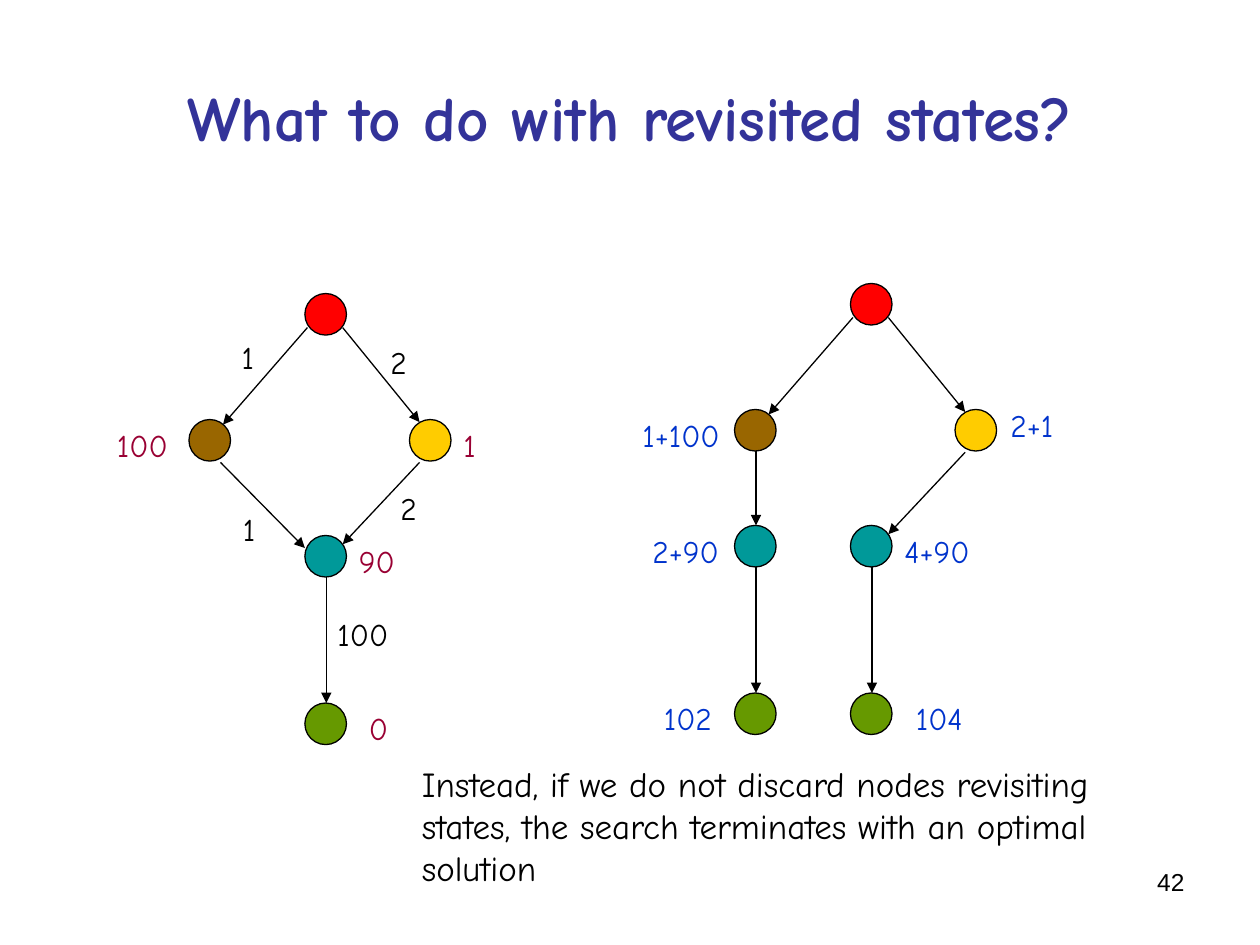
from lxml.etree import SubElement
from pptx import Presentation
from pptx.dml.color import RGBColor
from pptx.enum.shapes import MSO_CONNECTOR as Connector, MSO_SHAPE as Shape
from pptx.enum.text import MSO_ANCHOR as Anchor, MSO_AUTO_SIZE as AutoSize, PP_ALIGN as Align
from pptx.oxml.ns import qn
from pptx.util import Inches, Pt

BLACK = RGBColor(0x00, 0x00, 0x00)
RED = RGBColor(0xFF, 0x00, 0x00)
BROWN = RGBColor(0x99, 0x66, 0x00)
YELLOW = RGBColor(0xFF, 0xCC, 0x00)
TEAL = RGBColor(0x00, 0x99, 0x99)
GREEN = RGBColor(0x66, 0x99, 0x00)
CRIMSON = RGBColor(0x99, 0x00, 0x33)
BLUE = RGBColor(0x00, 0x33, 0xCC)
INDIGO = RGBColor(0x33, 0x33, 0x99)

NODE_SIZE = 0.33
LINE_WIDTH = Pt(0.75)

EDGE_COSTS = [("1", 1.82, 2.63, 0.31), ("100", 2.58, 4.83, 0.62), ("2", 3.08, 3.83, 0.35),
              ("1", 1.83, 4, 0.31), ("2", 3, 2.67, 0.35)]
HEURISTICS = [("100", 0.83, 3.33, 0.62), ("0", 2.83, 5.58, 0.35),
              ("90", 2.75, 4.25, 0.51), ("1", 3.58, 3.33, 0.31)]
TOTAL_COSTS = [("104", 7.17, 5.5, 0.62), ("4+90", 7.08, 4.17, 0.78), ("1+100", 5, 3.25, 0.85),
               ("2+1", 7.92, 3.17, 0.59), ("2+90", 5.08, 4.17, 0.78), ("102", 5.17, 5.5, 0.62)]


def add_text(page, text, left, top, width, height=0.4, *, size=18, color=BLACK,
             font="Comic Neue", bold=False, align=Align.LEFT, anchor=Anchor.TOP, fixed=False):
    """Add a text box, one line per newline; a fixed box wraps and keeps its size."""
    box = page.shapes.add_textbox(Inches(left), Inches(top), Inches(width), Inches(height))
    frame = box.text_frame
    frame.word_wrap = fixed
    frame.auto_size = AutoSize.NONE if fixed else AutoSize.SHAPE_TO_FIT_TEXT
    frame.vertical_anchor = anchor
    para = frame.paragraphs[0]
    para.alignment = align
    for index, line in enumerate(text.split("\n")):
        if index:
            para.add_line_break()
        span = para.add_run()
        span.text = line
        span.font.name = font
        span.font.size = Pt(size)
        span.font.bold = bold
        span.font.color.rgb = color


def add_node(page, left, top, color):
    """Add a round state node."""
    node = page.shapes.add_shape(Shape.OVAL, Inches(left), Inches(top),
                                 Inches(NODE_SIZE), Inches(NODE_SIZE))
    node.shadow.inherit = False
    node.fill.solid()
    node.fill.fore_color.rgb = color
    node.line.color.rgb = BLACK
    node.line.width = LINE_WIDTH


def add_arrow(page, x1, y1, x2, y2):
    """Add a thin black arrow pointing at the second point."""
    arrow = page.shapes.add_connector(Connector.STRAIGHT, Inches(x1), Inches(y1),
                                      Inches(x2), Inches(y2))
    arrow.line.color.rgb = BLACK
    arrow.line.width = LINE_WIDTH
    SubElement(arrow.line._get_or_add_ln(), qn("a:tailEnd"), type="triangle")
    SubElement(arrow._element.spPr, qn("a:effectLst"))


def add_search_graph(page, left, top):
    """Add the nodes and arrows shared by both graphs, placed from the root's corner."""
    for x, y, color in [(0, 0, RED), (-0.92, 1, BROWN), (0.83, 1, YELLOW),
                        (0, 1.92, TEAL), (0, 3.25, GREEN)]:
        add_node(page, left + x, top + y, color)
    for x1, y1, x2, y2 in [(0.02, 0.27, -0.65, 1.04), (0.3, 0.27, 0.91, 1.02),
                           (0.91, 1.34, 0.3, 1.99), (0.17, 2.25, 0.17, 3.25)]:
        add_arrow(page, left + x1, top + y1, left + x2, top + y2)


def add_labels(page, labels, color):
    """Add a set of number labels in one colour."""
    for text, left, top, width in labels:
        add_text(page, text, left, top, width, color=color)


def main():
    """Build the slide and save it."""
    deck = Presentation()
    deck.slide_width, deck.slide_height = Inches(10), Inches(7.5)
    page = deck.slides.add_slide(deck.slide_layouts[6])

    add_text(page, "What to do with revisited states?", 0.5, 0.3, 9, 1.25, size=36,
             color=INDIGO, bold=True, align=Align.CENTER, anchor=Anchor.MIDDLE, fixed=True)

    add_search_graph(page, 2.42, 2.33)
    add_arrow(page, 1.75, 3.67, 2.42, 4.35)

    add_search_graph(page, 6.75, 2.25)
    add_node(page, 5.83, 4.17, TEAL)
    add_node(page, 5.83, 5.5, GREEN)
    add_arrow(page, 6, 3.58, 6, 4.17)
    add_arrow(page, 6, 4.5, 6, 5.5)

    add_labels(page, EDGE_COSTS, BLACK)
    add_labels(page, HEURISTICS, CRIMSON)
    add_labels(page, TOTAL_COSTS, BLUE)

    add_text(page, "Instead, if we do not discard nodes revisiting \n"
             "states, the search terminates with an optimal \nsolution",
             3.25, 6, 6.2, 1.1, size=20)
    add_text(page, "42", 7.17, 6.83, 2.33, 0.52, size=14, font="Arial",
             align=Align.RIGHT, fixed=True)
    deck.save("out.pptx")


if __name__ == "__main__":
    main()
